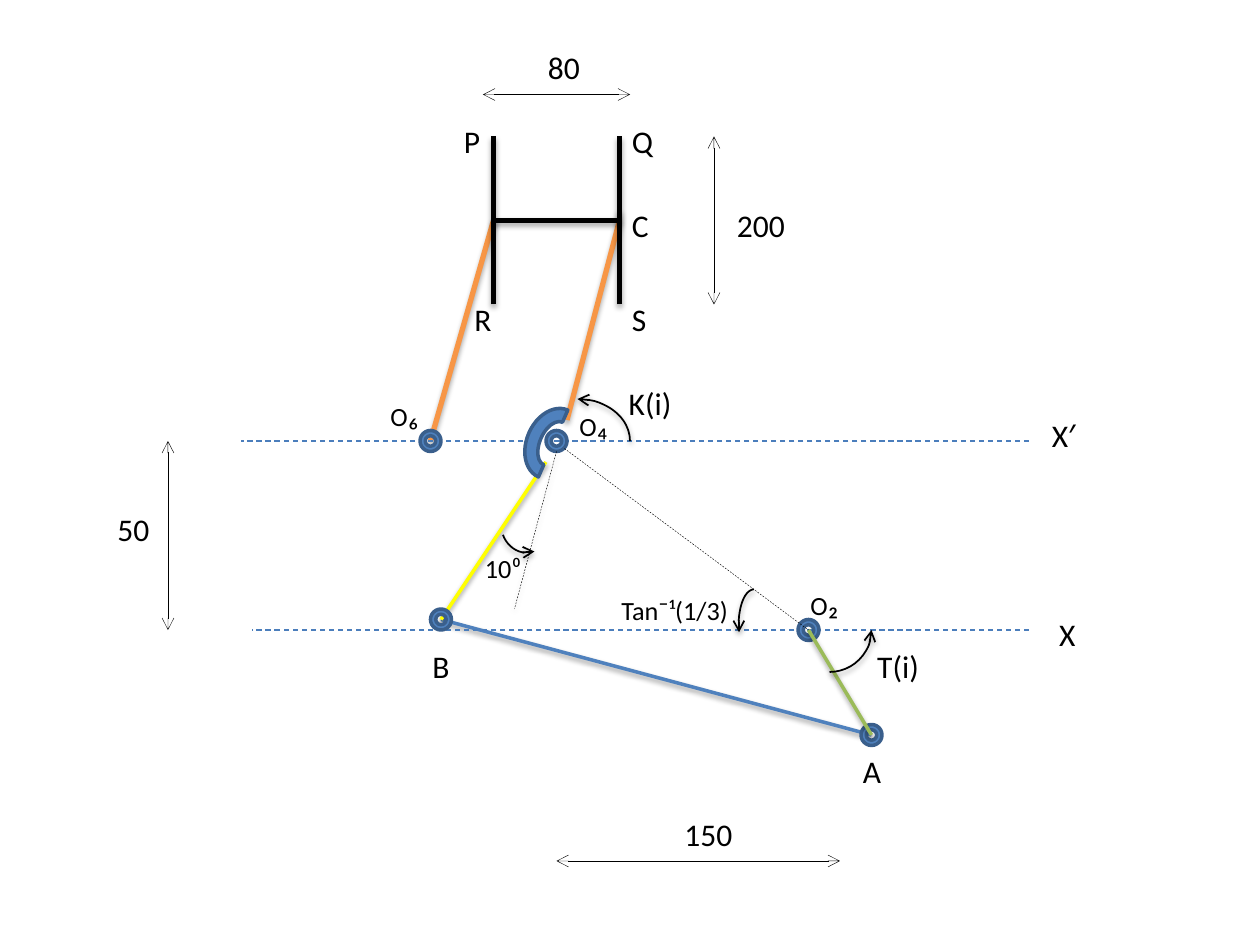
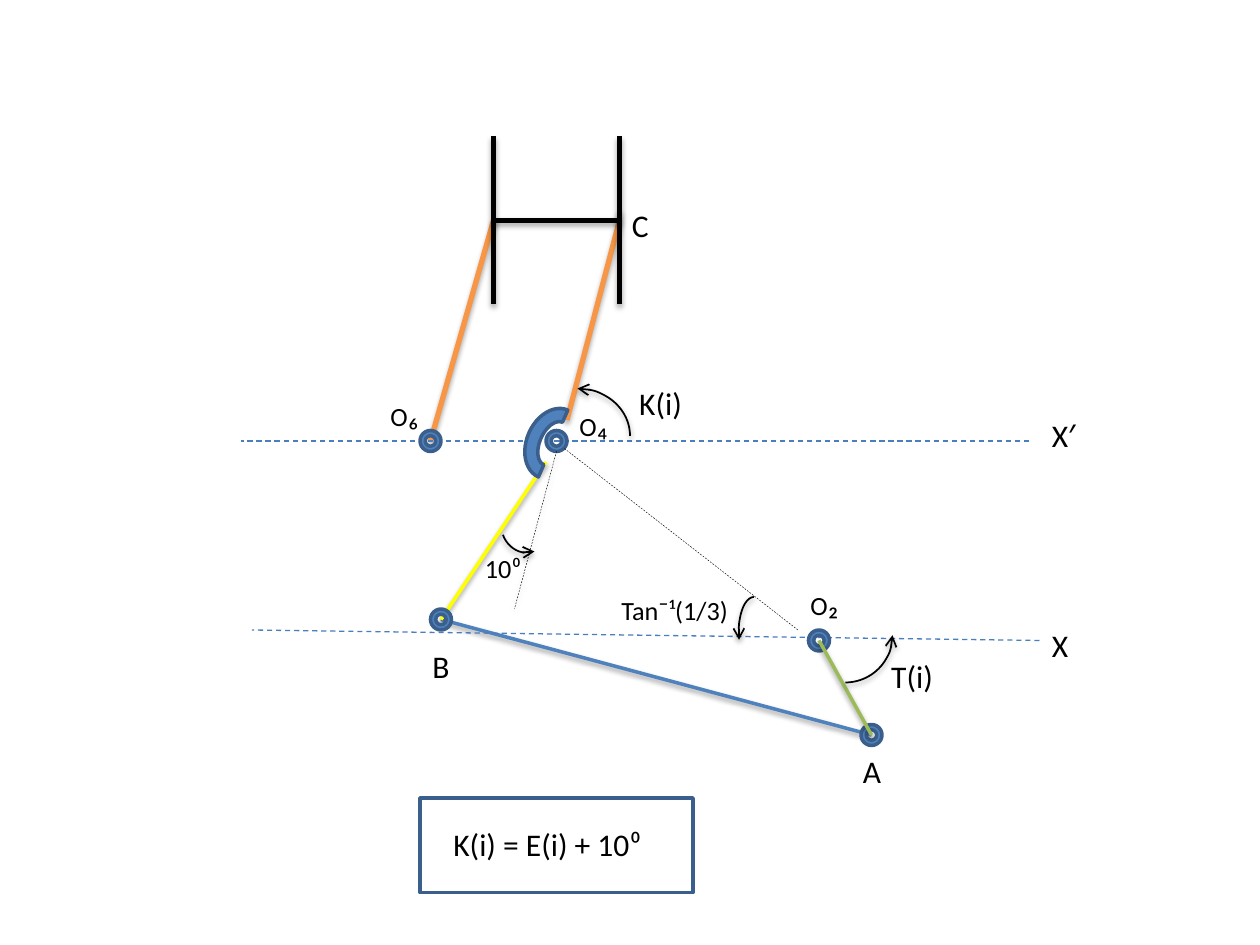
import pptx
import pptx.util
import pptx.dml.color
import pptx.enum.dml
import pptx.enum.shapes
import pptx.enum.text
import pptx.oxml
import pptx.oxml.ns
import lxml.etree

SHAPE = pptx.enum.shapes.MSO_SHAPE
WIDTH, HEIGHT = 10, 7.5
COLUMNS = 120
CELL = WIDTH / COLUMNS
FONT = "Calibri"
COLORS = {"link": "4F81BD", "edge": "3A5F8C", "guide": "4B7EBC", "input": "FFFF00",
          "lift": "F79646", "crank": "9BBB59", "ink": "000000", "paper": "FFFFFF"}
SHADOWS = {"thin": (38, 1.6), "thick": (35, 1.8)}

STYLES = {
    "coupler": {"color": "link", "width": 2, "shadow": "thin"},
    "input": {"color": "input", "width": 2, "shadow": "thin"},
    "crank": {"color": "crank", "width": 2, "shadow": "thin"},
    "lift": {"color": "lift", "width": 3, "shadow": "thick"},
    "frame": {"color": "ink", "width": 3, "shadow": "thick"},
    "guide": {"color": "guide", "width": 0.75, "dash": True},
    "ray": {"color": "ink", "width": 0.25, "dash": True},
    "shaded ray": {"color": "ink", "width": 0.25, "dash": True, "shadow": "thin"},
    "dimension": {"color": "ink", "width": 0.25, "ends": ("headEnd", "tailEnd")},
    "angle": {"color": "ink", "width": 1, "shadow": "thick", "ends": ("headEnd",)},
    "outline": {"color": "edge", "width": 2},
}

A, B, O4, O6 = (83, 70), (42, 59), (53, 42), (41, 42)
LEFT, RIGHT = 47, 59
TOP, MIDDLE, BOTTOM = 13, 21, 29

LINKAGE = [
    ("coupler", B, A),
    ("input", B, (52, 44)),
    ("lift", (54, 40), (RIGHT, MIDDLE)),
    ("lift", O6, (LEFT, MIDDLE)),
    ("frame", (LEFT, MIDDLE), (RIGHT, MIDDLE)),
    ("frame", (RIGHT, MIDDLE), (RIGHT, TOP)),
    ("frame", (RIGHT, BOTTOM), (RIGHT, MIDDLE - 1)),
    ("frame", (LEFT, MIDDLE), (LEFT, TOP)),
    ("frame", (LEFT, BOTTOM), (LEFT, MIDDLE)),
    ("guide", (98, 42), (23, 42)),
]
HUB = (49.2, 39.72, 6.96, 5.04, 293.7)
TEN_DEGREES = (47.76, 47.64, 4.56, 5.04, 160.1)
TEN_DEGREE_RAY = ("shaded ray", (53, 43), (49, 58))
GROUND_RAY_START = (53.76, 42.72)

SHARED_LABELS = [
    ("O₂", 76, 55, 0.58, 15), ("O₄", 54, 38, 0.43, 15), ("O₆", 36, 37, 0.43, 15),
    ("A", 81, 71, 0.35, 18), ("B", 40, 61, 0.34, 18), ("C", 59, 19, 0.34, 18),
    ("10⁰", 45, 52, 0.5, 15), ("Tan¯¹(1/3)", 58, 56, 1.05, 15), ("X′", 99, 39, 0.39, 18),
]

SLIDES = [
    {
        "O2": (77, 60),
        "ground": ((98, 60), (24, 60)),
        "ray end": (77, 60),
        "angles": [(50, 38, 10, 8, 0), (75, 56, 8, 8, 90), (68.16, 58.32, 7.92, 3.48, 265.3)],
        "dimensions": [((68, 13), (68, 29)), ((46, 9), (60, 9)),
                       ((80, 82), (53, 82)), ((16, 42), (16, 60))],
        "labels": [
            ("T(i)", 82.37, 61, 0.54, 18), ("K(i)", 58.7, 36, 0.54, 18),
            ("X", 99.7, 58, 0.33, 18), ("P", 43, 11, 0.33, 18), ("Q", 59, 11, 0.37, 18),
            ("R", 44, 28, 0.34, 18), ("S", 59, 28, 0.32, 18), ("200", 69, 19, 0.59, 18),
            ("80", 51, 4, 0.46, 18), ("150", 64, 77, 0.59, 18), ("50", 10, 48, 0.46, 18),
        ],
        "formula box": None,
    },
    {
        "O2": (78, 61),
        "ground": ((99, 61), (24, 60)),
        "ray end": (76, 60),
        "angles": [(50, 37, 10, 9, 0), (76, 56, 9, 9, 90), (68.16, 59.04, 7.92, 3.48, 265.3)],
        "dimensions": [],
        "labels": [
            ("T(i)", 83.7, 62, 0.53, 18), ("K(i)", 59.7, 36, 0.54, 18),
            ("X", 99, 59, 0.33, 18), ("K(i) = E(i) + 10⁰", 42, 78, 1.72, 18),
        ],
        "formula box": (40, 76, 26, 9),
    },
]


def grid(*cells):
    return [pptx.util.Inches(cell * CELL) for cell in cells]


def rgb(name):
    return pptx.dml.color.RGBColor.from_string(COLORS[name])


def add_xml(parent, tag, **attributes):
    return lxml.etree.SubElement(parent, pptx.oxml.ns.qn("a:" + tag), attributes)


def style_line(item, style_name):
    style = STYLES[style_name]
    item.line.color.rgb = rgb(style["color"])
    item.line.width = pptx.util.Pt(style["width"])
    if style.get("dash"):
        item.line.dash_style = pptx.enum.dml.MSO_LINE.DASH
    properties = item._element.spPr
    outline = properties.find(pptx.oxml.ns.qn("a:ln"))
    for end in style.get("ends", ()):
        add_xml(outline, end, type="arrow")
    effects = add_xml(properties, "effectLst")
    if "shadow" in style:
        opacity, distance = SHADOWS[style["shadow"]]
        shadow = add_xml(effects, "outerShdw", blurRad=str(pptx.util.Pt(3.1)),
                         dist=str(pptx.util.Pt(distance)), dir="5400000", rotWithShape="0")
        color = add_xml(shadow, "srgbClr", val=COLORS["ink"])
        add_xml(color, "alpha", val=str(opacity * 1000))


def add_line(page, style_name, start, end):
    straight = pptx.enum.shapes.MSO_CONNECTOR.STRAIGHT
    style_line(page.shapes.add_connector(straight, *grid(*start, *end)), style_name)


def add_figure(page, kind, left, top, width, height, turn=0, fill="link", style_name="outline"):
    figure = page.shapes.add_shape(kind, *grid(left, top, width, height))
    figure.rotation = turn
    if fill:
        figure.fill.solid()
        figure.fill.fore_color.rgb = rgb(fill)
    else:
        figure.fill.background()
    style_line(figure, style_name)


def add_joint(page, center):
    column, row = center
    add_figure(page, SHAPE.DONUT, column - 1, row - 1, 2, 2)


def add_label(page, text, column, row, width, size):
    box = page.shapes.add_textbox(*grid(column, row), pptx.util.Inches(width),
                                  pptx.util.Inches(0.4 if size == 18 else 0.35))
    frame = box.text_frame
    frame.word_wrap = False
    frame.auto_size = pptx.enum.text.MSO_AUTO_SIZE.SHAPE_TO_FIT_TEXT
    para = frame.paragraphs[0]
    parts = [(text, size)]
    if text[-1] in "₂₄₆":
        parts = [(text[:-1], size), (text[-1], 18)]
    for part, points in parts:
        span = para.add_run()
        span.text = part
        span.font.name = FONT
        span.font.size = pptx.util.Pt(points)
        span.font.color.rgb = rgb("ink")


def build_page(deck, content):
    page = deck.slides.add_slide(deck.slide_layouts[6])
    for line in LINKAGE + [("guide", *content["ground"])]:
        add_line(page, *line)
    for center in (A, B, O4, O6, content["O2"]):
        add_joint(page, center)
    add_line(page, "crank", A, content["O2"])
    add_figure(page, SHAPE.BLOCK_ARC, *HUB)
    add_line(page, *TEN_DEGREE_RAY)
    add_line(page, "ray", GROUND_RAY_START, content["ray end"])
    for angle in content["angles"] + [TEN_DEGREES]:
        add_figure(page, SHAPE.ARC, *angle, fill=None, style_name="angle")
    for start, end in content["dimensions"]:
        add_line(page, "dimension", start, end)
    if content["formula box"]:
        add_figure(page, SHAPE.RECTANGLE, *content["formula box"], fill="paper")
    for label in SHARED_LABELS + content["labels"]:
        add_label(page, *label)


def main():
    deck = pptx.Presentation()
    deck.slide_width = pptx.util.Inches(WIDTH)
    deck.slide_height = pptx.util.Inches(HEIGHT)
    for content in SLIDES:
        build_page(deck, content)
    deck.save("out.pptx")


if __name__ == "__main__":
    main()
